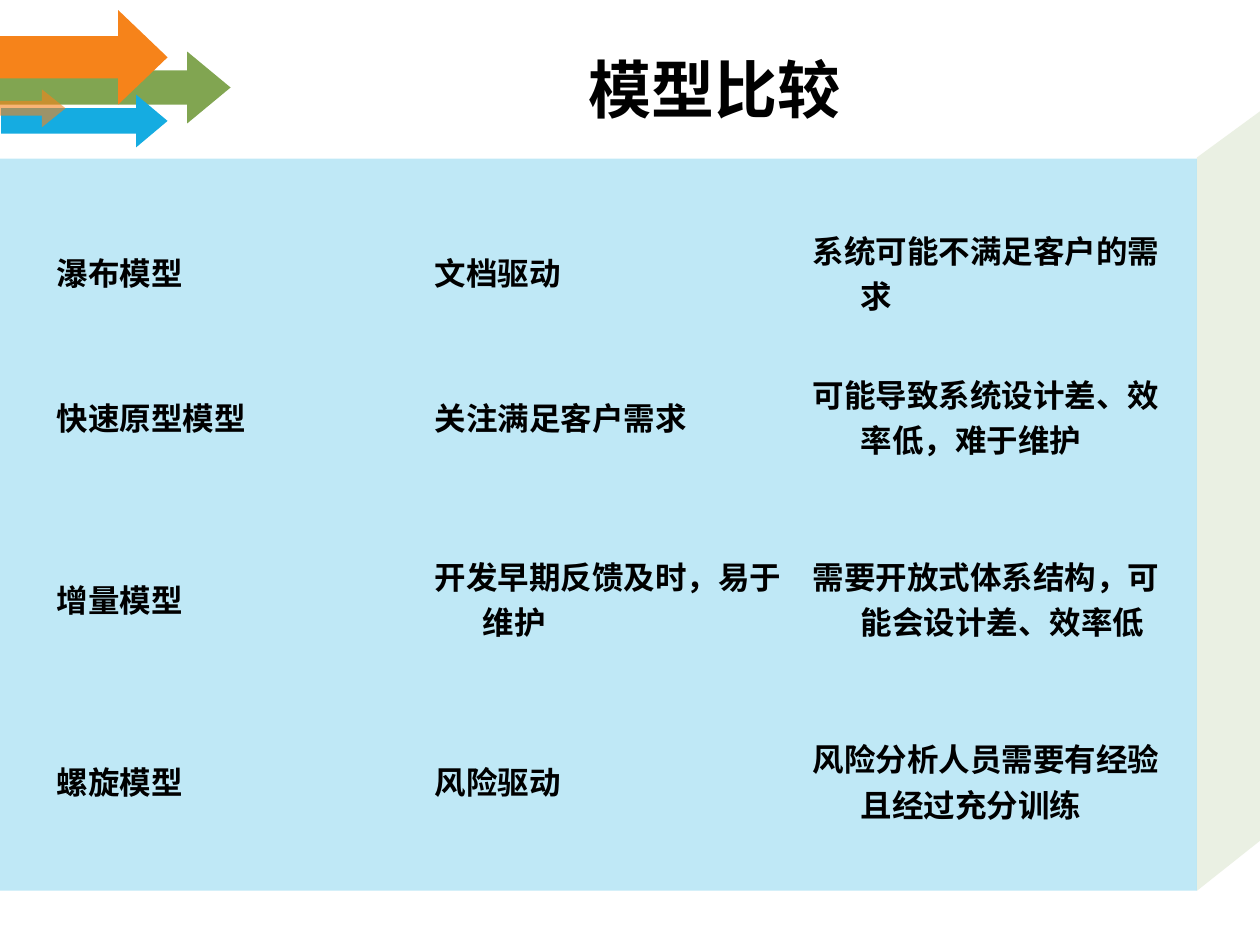
"""Build a slide comparing four software process models in a table."""
from pptx import Presentation
from pptx.dml.color import RGBColor
from pptx.enum.shapes import MSO_SHAPE
from pptx.enum.text import MSO_ANCHOR, PP_ALIGN
from pptx.oxml.ns import qn
from pptx.util import Inches, Pt
from lxml import etree

RECTANGLE, UP_ARROW = MSO_SHAPE.RECTANGLE, MSO_SHAPE.UP_ARROW
MIDDLE, CENTER = MSO_ANCHOR.MIDDLE, PP_ALIGN.CENTER
GREEN = RGBColor(0x81, 0xA5, 0x51)
ORANGE = RGBColor(0xF6, 0x83, 0x1A)
BLUE = RGBColor(0x15, 0xAC, 0xE1)
BLACK = RGBColor(0, 0, 0)
NO_GRID = "{2D5ABB26-0587-4C30-8999-92F81FD0307C}"

TITLE = "模型比较"
MODELS = [
    ("瀑布模型", "文档驱动", "系统可能不满足客户的需求"),
    ("快速原型模型", "关注满足客户需求", "可能导致系统设计差、效率低，难于维护"),
    ("增量模型", "开发早期反馈及时，易于维护", "需要开放式体系结构，可能会设计差、效率低"),
    ("螺旋模型", "风险驱动", "风险分析人员需要有经验且经过充分训练"),
]
ROW_HEIGHTS = [0.92, 1.37, 1.52, 1.37]
SIDE = [(9.5, 1.25), (10.06, 0.84), (10.03, 6.65), (9.5, 7.07)]
PANEL = (0, 1.26, 9.5, 5.81)
ARROWS = [
    ((0.63, -0.22, 0.57, 1.83), (0.479, 0.604), GREEN, 100),
    ((0.29, -0.21, 0.75, 1.33), (0.447, 0.523), ORANGE, 100),
    ((0.46, 0.3, 0.42, 1.32), (0.479, 0.597), BLUE, 100),
    ((0.11, 0.6, 0.3, 0.52), (0.389, 0.624), ORANGE, 60),
]


def paint(shape, color, opacity=100):
    shape.shadow.inherit = False
    shape.line.fill.background()
    shape.fill.solid()
    shape.fill.fore_color.rgb = color
    if opacity < 100:
        rgb = shape.fill._xPr.find(".//" + qn("a:srgbClr"))
        etree.SubElement(rgb, qn("a:alpha"), val=str(opacity * 1000))


def set_font(p, size):
    p.font.name, p.font.size, p.font.bold = "Arial", Pt(size), True
    p.font.color.rgb = BLACK


def add_backdrop(s):
    points = [(Inches(x), Inches(y)) for x, y in SIDE]
    builder = s.shapes.build_freeform(*points[0])
    builder.add_line_segments(points[1:], close=True)
    paint(builder.convert_to_shape(), GREEN, 16)
    paint(s.shapes.add_shape(RECTANGLE, *map(Inches, PANEL)), BLUE, 27)
    for box, adjustments, color, opacity in ARROWS:
        arrow = s.shapes.add_shape(UP_ARROW, *map(Inches, box))
        arrow.rotation = 90
        for i, value in enumerate(adjustments):
            arrow.adjustments[i] = value
        paint(arrow, color, opacity)


def add_title(s):
    title = s.shapes.title
    title.left, title.top, title.width, title.height = map(Inches, (1.92, 0.11, 7.5, 1.18))
    tf = title.text_frame
    tf.text = TITLE
    tf.vertical_anchor = MIDDLE
    p = tf.paragraphs[0]
    p.alignment = CENTER
    set_font(p, 36)


def add_models(s):
    box = map(Inches, (0.35, 1.7, 9, sum(ROW_HEIGHTS)))
    table = s.shapes.add_table(len(MODELS), len(MODELS[0]), *box).table
    table.first_row = table.horz_banding = False
    table._tbl.tblPr.find(qn("a:tableStyleId")).text = NO_GRID
    for row, height, texts in zip(table.rows, ROW_HEIGHTS, MODELS):
        row.height = Inches(height)
        for cell, text in zip(row.cells, texts):
            cell.fill.background()
            cell.vertical_anchor = MIDDLE
            cell.text = text
            p = cell.text_frame.paragraphs[0]
            set_font(p, 18)
            pPr = p._p.get_or_add_pPr()
            pPr.set("marL", str(Inches(0.38)))
            pPr.set("indent", str(-Inches(0.38)))


def main():
    prs = Presentation()
    prs.slide_width, prs.slide_height = Inches(10), Inches(7.5)
    s = prs.slides.add_slide(prs.slide_layouts[5])
    add_backdrop(s)
    add_title(s)
    add_models(s)
    prs.save("out.pptx")


if __name__ == "__main__":
    main()
